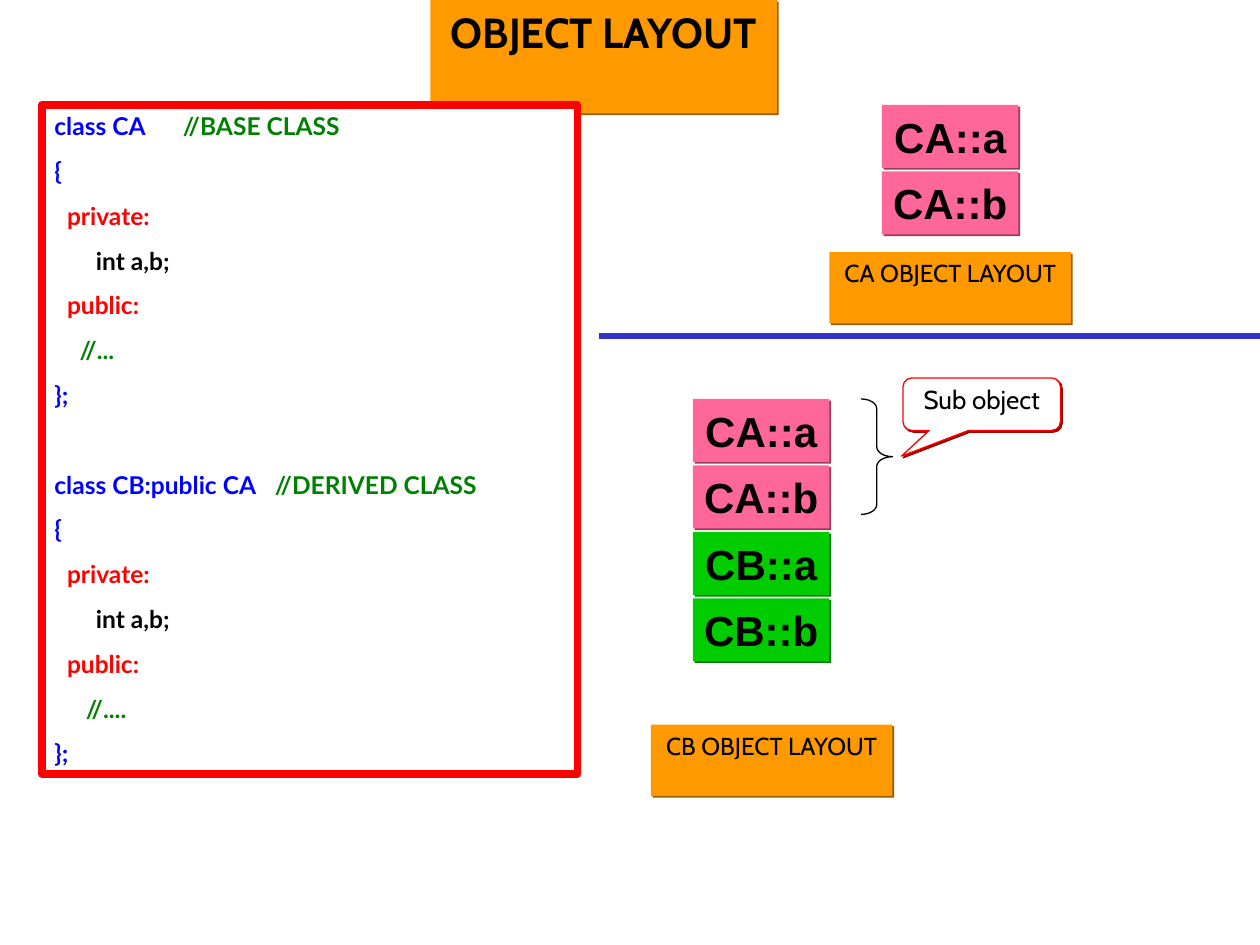
from lxml import etree
from pptx import Presentation
from pptx.dml.color import RGBColor
from pptx.enum.shapes import MSO_CONNECTOR, MSO_SHAPE
from pptx.enum.text import MSO_ANCHOR, MSO_AUTO_SIZE, PP_ALIGN
from pptx.oxml.ns import qn
from pptx.util import Inches, Pt

RECT = MSO_SHAPE.RECTANGLE
BRACE = MSO_SHAPE.RIGHT_BRACE
CALL = MSO_SHAPE.ROUNDED_RECTANGULAR_CALLOUT
LINE = MSO_CONNECTOR.STRAIGHT
TOP, MID = MSO_ANCHOR.TOP, MSO_ANCHOR.MIDDLE
LEFT, CENTER = PP_ALIGN.LEFT, PP_ALIGN.CENTER
FIXED = MSO_AUTO_SIZE.NONE

UNIT = Inches(1) / 12
STEP = 6.33
ORANGE, PINK, LIME = "FF9900", "FF6699", "00CC00"
BLUE, RED, GREEN = "0000FF", "FF0000", "008000"
BLACK, WHITE = "000000", "FFFFFF"
SHADES = {ORANGE: "995C00", PINK: "993D5C", LIME: "007A00", WHITE: "990000"}

BASE = [
    (0, [("class CA", BLUE), ("\t//BASE CLASS", GREEN)], 1.02),
    (0, [("{", BLUE)], None),
    (0.1, [("private:", RED)], None),
    (0.33, [("int a,b;", BLACK)], None),
    (0.1, [("public:", RED)], None),
    (0.2, [("//...", GREEN)], None),
    (0, [("};", BLUE)], None),
]
CHILD = [
    (0, [("class CB:public CA", BLUE), ("\t//DERIVED CLASS", GREEN)], 1.75),
    *BASE[1:5],
    (0.25, [("//....", GREEN)], None),
    BASE[6],
]


def color(code):
    """Turn a hex string into a colour."""
    return RGBColor.from_string(code)


def cells(*spans):
    """Turn grid cells into lengths."""
    return [round(span * UNIT) for span in spans]


def shade(shape, code):
    """Give a shape a hard shadow at its lower right."""
    fx = etree.SubElement(shape._element.spPr, qn("a:effectLst"))
    drop = etree.SubElement(fx, qn("a:outerShdw"), blurRad="0",
                            dist=str(Pt(1.4)), dir="2700000",
                            algn="ctr", rotWithShape="0")
    etree.SubElement(drop, qn("a:srgbClr"), val=code)


def paint(shape, fill=None, line=None, width=0.75, shadow=False):
    """Set fill, outline and shadow."""
    if fill:
        shape.fill.solid()
        shape.fill.fore_color.rgb = color(fill)
    else:
        shape.fill.background()
    if line:
        shape.line.color.rgb = color(line)
        shape.line.width = Pt(width)
    else:
        shape.line.fill.background()
    if shadow:
        shade(shape, SHADES[fill])
    else:
        shape.shadow.inherit = False


def frame(shape, anchor=TOP, wrap=True):
    """Prepare the text frame of a shape."""
    text = shape.text_frame
    look = {"word_wrap": wrap, "auto_size": FIXED, "vertical_anchor": anchor,
            "margin_left": Inches(0.1), "margin_right": Inches(0.1),
            "margin_top": Inches(0.05), "margin_bottom": Inches(0.05)}
    for name, value in look.items():
        setattr(text, name, value)
    return text


def write(para, runs, font, size, bold=False, align=CENTER, gap=0):
    """Fill a paragraph with coloured runs."""
    para.alignment = align
    para.space_before = Pt(gap)
    for words, hue in runs:
        run = para.add_run()
        run.text = words
        look = {"name": font, "size": Pt(size), "bold": bold}
        for name, value in look.items():
            setattr(run.font, name, value)
        run.font.color.rgb = color(hue)


def head(slide):
    """Place and format the title."""
    title = slide.shapes.title
    title.left, title.top, title.width, title.height = cells(41, 0, 33, 10.8)
    paint(title, ORANGE, shadow=True)
    write(frame(title).paragraphs[0], [("OBJECT LAYOUT", BLACK)],
          "Cabin", 24, True, gap=15)


def code(slide):
    """Draw the framed class listing."""
    box = slide.shapes.add_shape(RECT, *cells(4, 10, 51, 63.7))
    paint(box, WHITE, RED, 4.5)
    text = frame(box)
    for row, (dent, runs, stop) in enumerate(BASE + CHILD):
        para = text.paragraphs[0] if row == 0 else text.add_paragraph()
        gap = 34.4 if row == len(BASE) else 8.8
        write(para, runs, "Lato", 14, True, LEFT, gap)
        props = para._p.get_or_add_pPr()
        props.set("marL", str(Inches(dent)))
        if stop:
            tabs = etree.SubElement(props, qn("a:tabLst"))
            etree.SubElement(tabs, qn("a:tab"), pos=str(Inches(stop)), algn="l")


def stack(slide, left, top, items):
    """Stack the member cells of an object."""
    for row, (name, fill) in enumerate(items):
        box = slide.shapes.add_shape(RECT, *cells(left, top + row * STEP, 13, 6))
        paint(box, fill, shadow=True)
        write(frame(box, MID, False).paragraphs[0], [(name, BLACK)],
              "Arial", 24, True)


def label(slide, left, top, name):
    """Draw the caption of an object."""
    box = slide.shapes.add_shape(RECT, *cells(left, top, 23, 6.8))
    paint(box, ORANGE, shadow=True)
    write(frame(box).paragraphs[0], [(name, BLACK)], "Cabin", 14, gap=8.8)


def rule(slide):
    """Draw the line between the two objects."""
    line = slide.shapes.add_connector(LINE, *cells(57, 32, 120, 32))
    line.line.color.rgb = color("3333CC")
    line.line.width = Pt(3)
    etree.SubElement(line._element.spPr, qn("a:effectLst"))


def note(slide):
    """Mark the inherited part with a brace and a callout."""
    call = slide.shapes.add_shape(CALL, *cells(86, 36, 15, 5))
    for spot, value in enumerate((-0.51, 0.99, 0.17)):
        call.adjustments[spot] = value
    paint(call, WHITE, RED, shadow=True)
    para = frame(call).paragraphs[0]
    write(para, [("Sub object", BLACK)], "Cabin", 14.8)
    para.line_spacing = 0.9
    brace = slide.shapes.add_shape(BRACE, *cells(82, 38, 3, 11))
    brace.adjustments[0] = 0.31
    paint(brace, line=BLACK)


def main():
    """Build and save the slide."""
    deck = Presentation()
    deck.slide_width, deck.slide_height = cells(120, 90)
    slide = deck.slides.add_slide(deck.slide_layouts[5])
    base = [("CA::a", PINK), ("CA::b", PINK)]
    child = base + [("CB::a", LIME), ("CB::b", LIME)]
    head(slide)
    code(slide)
    stack(slide, 84, 10, base)
    label(slide, 79, 24, "CA OBJECT LAYOUT")
    rule(slide)
    stack(slide, 66, 38, child)
    label(slide, 62, 69, "CB OBJECT LAYOUT")
    note(slide)
    deck.save("out.pptx")


if __name__ == "__main__":
    main()
